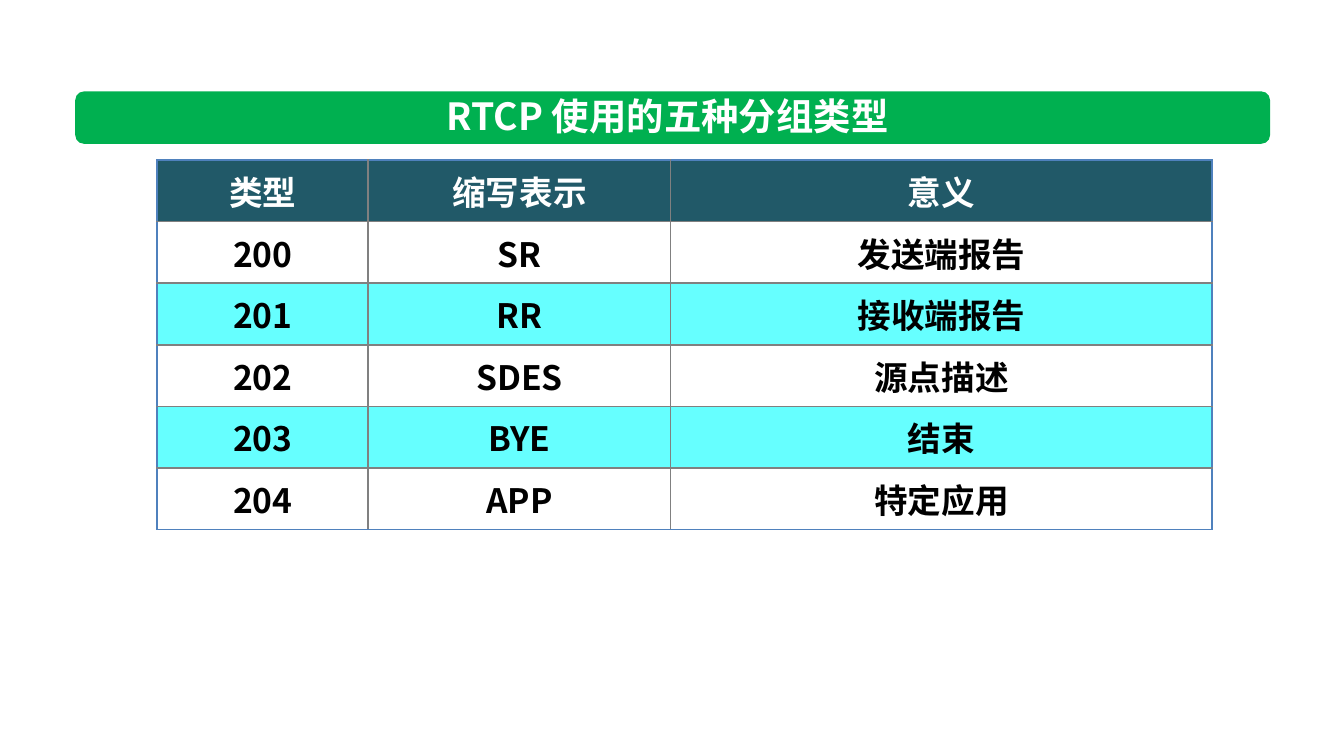
from dataclasses import dataclass

from lxml.etree import SubElement
from pptx import Presentation
from pptx.dml.color import RGBColor
from pptx.enum.shapes import MSO_SHAPE
from pptx.enum.text import MSO_ANCHOR, MSO_AUTO_SIZE, PP_ALIGN
from pptx.oxml import parse_xml
from pptx.oxml.ns import nsdecls, qn
from pptx.util import Inches, Pt

FONT = "Noto Sans CJK SC"
COLORS = {
    "bar": "00B050",
    "header": "215968",
    "band": "66FFFF",
    "white": "FFFFFF",
    "black": "000000",
    "outer": "4F81BD",
    "inner": "808080",
}
COL_WIDTHS = (1.57, 2.25, 4.03)
TABLE_HEIGHT = 2.75


@dataclass
class PacketType:
    code: str
    abbreviation: str
    meaning: str


HEADER = PacketType("类型", "缩写表示", "意义")
PACKET_TYPES = [
    PacketType("200", "SR", "发送端报告"),
    PacketType("201", "RR", "接收端报告"),
    PacketType("202", "SDES", "源点描述"),
    PacketType("203", "BYE", "结束"),
    PacketType("204", "APP", "特定应用"),
]


def rgb(name: str) -> RGBColor:
    return RGBColor.from_string(COLORS[name])


def write_text(tf, text: str, size: int, color: str) -> None:
    """Fill the first paragraph with one centred bold run."""
    p = tf.paragraphs[0]
    p.alignment = PP_ALIGN.CENTER
    r = p.add_run()
    r.text = text
    r.font.size = Pt(size)
    r.font.bold = True
    r.font.color.rgb = rgb(color)
    r.font.name = FONT
    SubElement(r.font._element, qn("a:ea"), typeface=FONT)


def set_borders(cell, outer_sides: dict[str, bool]) -> None:
    """Draw all four sides, in the outer colour where the side is on the edge."""
    tc_pr = cell._tc.get_or_add_tcPr()
    for i, (side, is_outer) in enumerate(outer_sides.items()):
        color = COLORS["outer" if is_outer else "inner"]
        tc_pr.insert(i, parse_xml(
            f'<a:ln{side} {nsdecls("a")} w="{Pt(1)}"><a:solidFill>'
            f'<a:srgbClr val="{color}"/></a:solidFill></a:ln{side}>'))


def add_title_bar(s, text: str) -> None:
    bar = s.shapes.add_shape(MSO_SHAPE.ROUNDED_RECTANGLE, Inches(0.56),
                             Inches(0.68), Inches(8.89), Inches(0.39))
    bar.shadow.inherit = False
    bar.fill.solid()
    bar.fill.fore_color.rgb = rgb("bar")
    bar.line.fill.background()

    title = s.shapes.title
    title.left, title.top = Inches(3.19), Inches(0.64)
    title.width, title.height = Inches(3.62), Inches(0.44)
    title.element.addprevious(bar.element)  # the bar lies behind the title
    tf = title.text_frame
    tf.word_wrap = False
    tf.auto_size = MSO_AUTO_SIZE.SHAPE_TO_FIT_TEXT
    tf.vertical_anchor = MSO_ANCHOR.MIDDLE
    write_text(tf, text, 20, "white")


def add_packet_table(s, rows: list[PacketType]) -> None:
    last_row, last_col = len(rows) - 1, len(COL_WIDTHS) - 1
    table = s.shapes.add_table(
        len(rows), len(COL_WIDTHS), Inches(1.17), Inches(1.19),
        Inches(sum(COL_WIDTHS)), Inches(TABLE_HEIGHT)).table
    table.first_row = table.horz_banding = False
    for column, width in zip(table.columns, COL_WIDTHS):
        column.width = Inches(width)

    for i, row in enumerate(rows):
        if i == 0:
            fill, color = "header", "white"
        else:
            fill, color = ("white" if i % 2 else "band"), "black"
        for j, text in enumerate((row.code, row.abbreviation, row.meaning)):
            cell = table.cell(i, j)
            cell.margin_left = cell.margin_right = Inches(0.07)
            cell.margin_top = cell.margin_bottom = 0
            cell.vertical_anchor = MSO_ANCHOR.MIDDLE
            cell.fill.solid()
            cell.fill.fore_color.rgb = rgb(fill)
            set_borders(cell, {"L": j == 0, "R": j == last_col,
                               "T": i == 0, "B": i == last_row})
            write_text(cell.text_frame, text, 18, color)


def main() -> None:
    prs = Presentation()
    prs.slide_width = Inches(10)
    prs.slide_height = prs.slide_width * 9 // 16
    s = prs.slides.add_slide(prs.slide_layouts[5])
    add_title_bar(s, "RTCP 使用的五种分组类型 ")
    add_packet_table(s, [HEADER, *PACKET_TYPES])
    prs.save("out.pptx")


if __name__ == "__main__":
    main()
